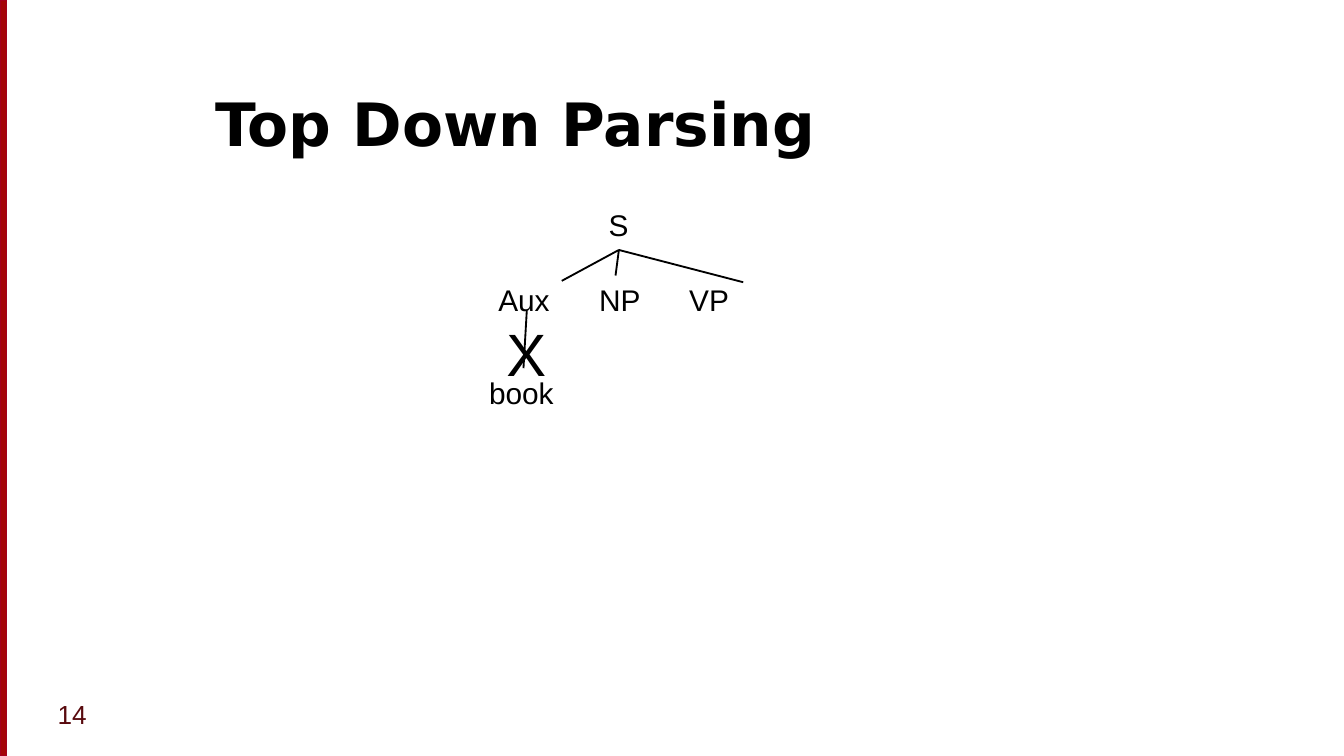
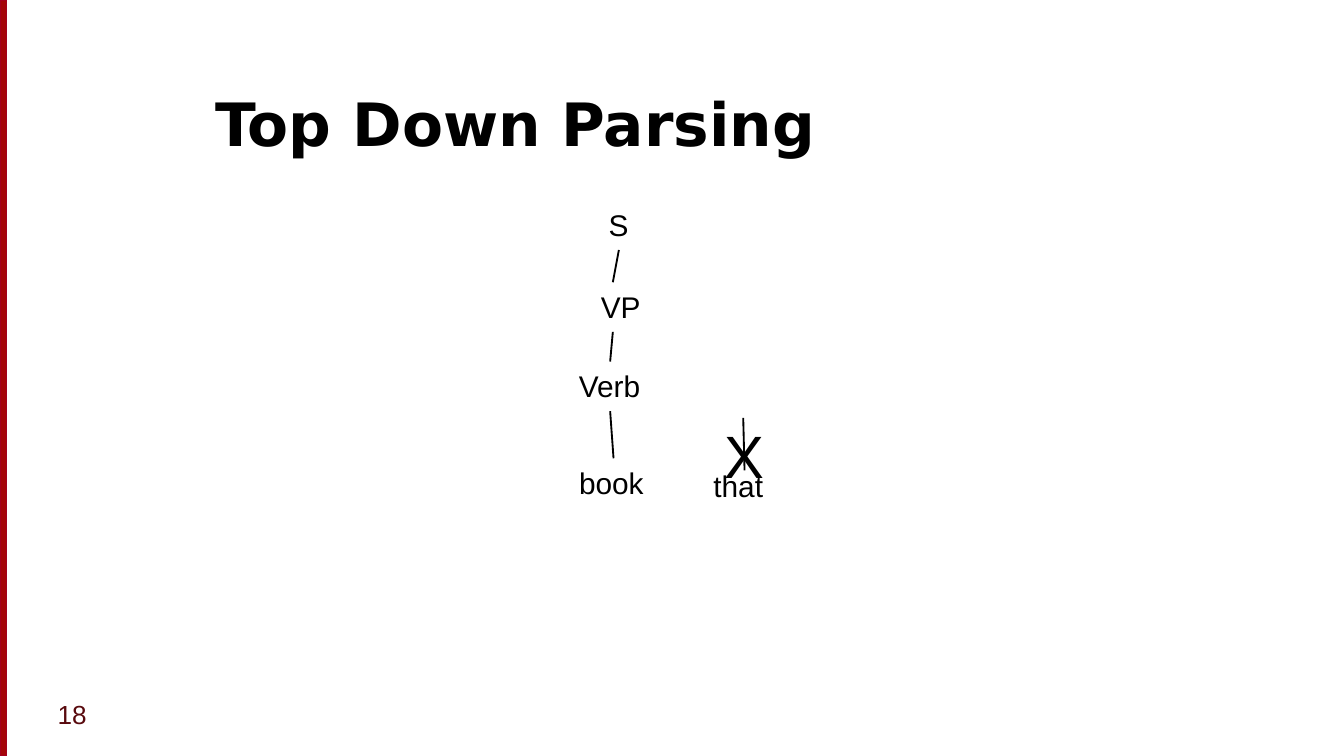
"""Build two slides that show steps of top-down parsing as trees."""
from lxml import etree
from pptx import Presentation
from pptx.dml.color import RGBColor
from pptx.enum.shapes import MSO_CONNECTOR, MSO_SHAPE
from pptx.enum.text import MSO_ANCHOR, MSO_AUTO_SIZE, PP_ALIGN
from pptx.oxml.ns import qn
from pptx.util import Inches, Pt

BLACK = RGBColor(0x00, 0x00, 0x00)
RED = RGBColor(0xA4, 0x05, 0x08)
RED_EDGE = RGBColor(0xA4, 0x00, 0x1D)
MAROON = RGBColor(0x59, 0x0A, 0x0E)
WHITE = RGBColor(0xFF, 0xFF, 0xFF)
TITLE_FONT, BODY_FONT = "DejaVu Sans", "Arial"
RECT, STRAIGHT = MSO_SHAPE.RECTANGLE, MSO_CONNECTOR.STRAIGHT
LEFT, ANCHOR_BOTTOM = PP_ALIGN.LEFT, MSO_ANCHOR.BOTTOM
NO_FIT, GROW = MSO_AUTO_SIZE.NONE, MSO_AUTO_SIZE.SHAPE_TO_FIT_TEXT
TOP, BOTTOM = 0, 2
COLS, ROWS = 100, 56.25
CELL = Inches(0.1)
TITLE_ONLY = 5
NODE_H, MARK_W, MARK_H = 3.7, 5, 6.4


def cells(*counts):
    return [round(n * CELL) for n in counts]


class Deck:
    def __init__(self):
        self.prs = Presentation()
        self.prs.slide_width, self.prs.slide_height = cells(COLS, ROWS)
        self.s = None

    def slide(self, title, number):
        self.s = self.prs.slides.add_slide(self.prs.slide_layouts[TITLE_ONLY])
        fill = self.s.background.fill
        fill.solid()
        fill.fore_color.rgb = WHITE
        self.bar()
        self.title(title)
        self.text(number, 3.3, 51.5, 21.7, 3.8, size=14, color=MAROON, wrap=True)

    def bar(self):
        sp = self.s.shapes.add_shape(RECT, *cells(0, 0, 0.5, ROWS))
        sp.shadow.inherit = False
        sp.fill.solid()
        sp.fill.fore_color.rgb = RED
        sp.line.color.rgb = RED_EDGE
        sp.line.width = Pt(0.75)

    def title(self, text):
        sp = self.s.shapes.title
        sp.left, sp.top, sp.width, sp.height = cells(15, 4.2, 81.7, 8.1)
        tf = sp.text_frame
        tf.text = text
        tf.auto_size = NO_FIT
        tf.vertical_anchor = ANCHOR_BOTTOM
        self.style(tf, TITLE_FONT, 32, BLACK, bold=True)

    def style(self, tf, font, size, color, bold=False):
        for p in tf.paragraphs:
            p.alignment = LEFT
            for r in p.runs:
                r.font.name, r.font.size, r.font.bold = font, Pt(size), bold
                r.font.color.rgb = color

    def text(self, text, x, y, w, h=NODE_H, size=16, color=BLACK, wrap=False,
             inset=1, tabs=()):
        sp = self.s.shapes.add_textbox(*cells(x, y, w, h))
        tf = sp.text_frame
        tf.text = text
        tf.word_wrap = wrap
        tf.auto_size = NO_FIT if wrap else GROW
        tf.margin_left = cells(inset)[0]
        self.style(tf, BODY_FONT, size, color)
        if tabs:
            stops = etree.SubElement(tf.paragraphs[0]._p.get_or_add_pPr(), qn("a:tabLst"))
            for stop in cells(*tabs):
                etree.SubElement(stops, qn("a:tab"), pos=str(stop), algn="l")
        return sp

    def root(self):
        return self.text("S", 44.3, 14.9, 3.5)

    def mark(self, x, y):
        return self.text("X", x, y, MARK_W, MARK_H, size=32)

    def line(self, start, end):
        c = self.s.shapes.add_connector(STRAIGHT, *cells(*start, *end))
        c.line.color.rgb = BLACK
        c.line.width = Pt(1)
        etree.SubElement(c._element.spPr, qn("a:effectLst"))
        return c

    def branch(self, upper, tip):
        c = self.line((0, 0), tip)
        c.begin_connect(upper, BOTTOM)

    def link(self, upper, lower, site=BOTTOM):
        c = self.line((0, 0), (0, 0))
        c.begin_connect(upper, site)
        c.end_connect(lower, TOP)


def aux_slide(deck):
    deck.slide("Top Down Parsing", "14")
    root = deck.root()
    children = deck.text("Aux\tNP\tVP", 36.1, 20.5, 19.4, wrap=True, tabs=(7.5, 14.2))
    deck.branch(root, (41.8, 20.9))
    deck.link(root, children)
    deck.branch(root, (55.3, 21))
    book = deck.text("book", 35.4, 27.4, 7.1)
    deck.link(deck.mark(36.7, 23.1), book, site=TOP)


def verb_slide(deck):
    deck.slide("Top Down Parsing", "18")
    chain = [
        deck.root(),
        deck.text("VP", 42.5, 21, 6.2, inset=2.2),
        deck.text("Verb", 42.1, 26.9, 6.6),
        deck.text("book", 42.1, 34.1, 7.1),
    ]
    for upper, lower in zip(chain, chain[1:]):
        deck.link(upper, lower)
    deck.mark(52.9, 30.7)
    deck.line((55.3, 31.1), (55.4, 35))
    deck.text("that", 52.1, 34.3, 5.8)


def main():
    deck = Deck()
    aux_slide(deck)
    verb_slide(deck)
    deck.prs.save("out.pptx")


if __name__ == "__main__":
    main()
